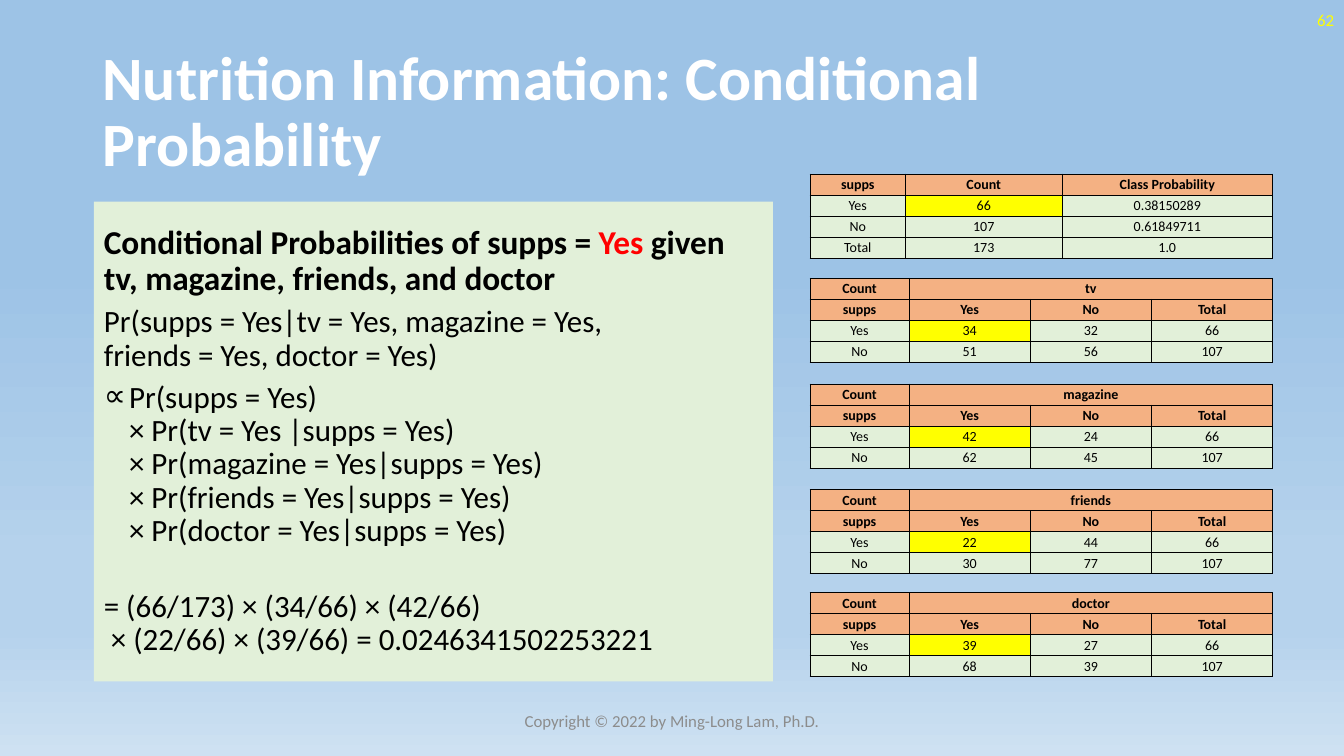
from dataclasses import dataclass

from lxml.etree import SubElement
from pptx import Presentation
from pptx.dml.color import RGBColor as Rgb
from pptx.enum.text import MSO_ANCHOR as Anchor, MSO_AUTO_SIZE as AutoSize, PP_ALIGN as Align
from pptx.oxml.ns import qn
from pptx.util import Pt


@dataclass(frozen=True)
class Theme:
    font: str = "Calibri"
    white: str = "FFFFFF"
    black: str = "000000"
    red: str = "FF0000"
    yellow: str = "FFFF00"
    grey: str = "8C8C8C"
    green: str = "E2F0D9"
    orange: str = "F4B183"
    sky: tuple = ((35, "9DC3E6"), (74, "B5D2EC"), (83, "B5D2EC"), (100, "CEE1F2"))
    title: float = 44
    lead: float = 23.8
    body: float = 22.1
    small: float = 12
    cell: float = 10


THEME = Theme()
ROW_HEIGHT = 15


def assign(target, values):
    for name, value in values.items():
        setattr(target, name, value)


def style(font, size, color, bold=False):
    assign(font, {"name": THEME.font, "size": Pt(size), "bold": bold})
    font.color.rgb = Rgb.from_string(color)


def place(shape, box):
    assign(shape, dict(zip(("left", "top", "width", "height"), map(Pt, box))))


def set_frame(frame):
    assign(frame, {"word_wrap": True, "auto_size": AutoSize.NONE,
                   "vertical_anchor": Anchor.MIDDLE})


def write(paragraph, pieces, size, bold=False):
    """Add (text, color) pieces; a newline in a text becomes a line break."""
    for text, color in pieces:
        for number, line in enumerate(text.split("\n")):
            if number:
                paragraph.add_line_break()
            run = paragraph.add_run()
            run.text = line
            style(run.font, size, color, bold)
    for line_break in paragraph._p.findall(qn("a:br")):
        SubElement(line_break, qn("a:rPr"), sz=str(round(size * 100)))


def set_bullet(paragraph, symbol=None, indent=0):
    properties = paragraph._p.get_or_add_pPr()
    properties.set("marL", str(Pt(indent)))
    properties.set("indent", str(-Pt(indent)))
    if symbol:
        SubElement(properties, qn("a:buFont"), typeface=THEME.font)
        SubElement(properties, qn("a:buChar"), char=symbol)
    else:
        SubElement(properties, qn("a:buNone"))


def paint_background(slide):
    fill = slide.background.fill
    fill.gradient()
    fill.gradient_angle = 270
    stops = slide._element.find(".//" + qn("a:gsLst"))
    for stop in list(stops):
        stops.remove(stop)
    for position, color in THEME.sky:
        stop = SubElement(stops, qn("a:gs"), pos=str(position * 1000))
        SubElement(stop, qn("a:srgbClr"), val=color)


def add_title(slide, box, text):
    title = slide.shapes.title
    place(title, box)
    set_frame(title.text_frame)
    heading = title.text_frame.paragraphs[0]
    assign(heading, {"alignment": Align.LEFT, "line_spacing": 0.9})
    write(heading, [(text, THEME.white)], THEME.title, True)


def add_derivation(slide, box):
    panel = slide.placeholders[1]
    place(panel, box)
    panel.fill.solid()
    panel.fill.fore_color.rgb = Rgb.from_string(THEME.green)
    frame = panel.text_frame
    set_frame(frame)

    factors = ["Pr(supps = Yes)", "Pr(tv = Yes |supps = Yes)"]
    factors += [f"Pr({name} = Yes|supps = Yes)" for name in ("magazine", "friends", "doctor")]
    steps = [
        ("Pr(supps = Yes|tv = Yes, magazine = Yes,\nfriends = Yes, doctor = Yes)", 6, None, 0),
        ("\n× ".join(factors), 6, "∝", 18),
        ("= (66/173) × (34/66) × (42/66)\n × (22/66) × (39/66) = 0.0246341502253221", 30, None, 0),
    ]
    lead = frame.paragraphs[0]
    assign(lead, {"line_spacing": 0.9, "space_before": Pt(0)})
    set_bullet(lead)
    write(lead, [("Conditional Probabilities of supps = ", THEME.black), ("Yes", THEME.red),
                 (" given tv, magazine, friends, and doctor", THEME.black)], THEME.lead, True)
    for text, gap, symbol, indent in steps:
        step = frame.add_paragraph()
        assign(step, {"line_spacing": 0.9, "space_before": Pt(gap)})
        set_bullet(step, symbol, indent)
        write(step, [(text, THEME.black)], THEME.body)


def add_caption(slide, box, text, color, alignment):
    caption = slide.shapes.add_textbox(*map(Pt, box))
    set_frame(caption.text_frame)
    line = caption.text_frame.paragraphs[0]
    line.alignment = alignment
    write(line, [(text, color)], THEME.small)


def format_cell(cell, text, fill, bold):
    assign(cell, {"margin_left": Pt(0.72), "margin_right": Pt(0.72), "margin_top": Pt(0.72),
                  "margin_bottom": 0, "vertical_anchor": Anchor.MIDDLE})
    line = cell.text_frame.paragraphs[0]
    line.alignment = Align.CENTER
    if text:
        write(line, [(text, THEME.black)], THEME.cell, bold)
    properties = cell._tc.get_or_add_tcPr()
    for side in ("lnL", "lnR", "lnT", "lnB"):
        border = SubElement(properties, qn(f"a:{side}"), w=str(Pt(0.5)))
        solid = SubElement(border, qn("a:solidFill"))
        SubElement(solid, qn("a:srgbClr"), val=THEME.black)
    cell.fill.solid()
    cell.fill.fore_color.rgb = Rgb.from_string(fill)


def add_grid(slide, left, top, widths, rows, header_rows):
    """Draw a table whose first count below the header is highlighted."""
    size = (sum(widths), ROW_HEIGHT * len(rows))
    grid = slide.shapes.add_table(len(rows), len(widths), *map(Pt, (left, top, *size))).table
    assign(grid, {"first_row": False, "horz_banding": False})
    for column, width in zip(grid.columns, widths):
        column.width = Pt(width)
    for r, row in enumerate(rows):
        grid.rows[r].height = Pt(ROW_HEIGHT)
        for c, text in enumerate(row):
            header = r < header_rows
            fill = THEME.orange if header else THEME.green
            if (r, c) == (header_rows, 1):
                fill = THEME.yellow
            format_cell(grid.cell(r, c), text, fill, header)
    return grid


def add_class_table(slide, left, top):
    rows = [("supps", "Count", "Class Probability"), ("Yes", "66", "0.38150289"),
            ("No", "107", "0.61849711"), ("Total", "173", "1.0")]
    add_grid(slide, left, top, (68.2, 111.8, 150.4), rows, 1)


def add_count_table(slide, left, top, feature, yes_counts, no_counts):
    rows = [("Count", feature, "", ""), ("supps", "Yes", "No", "Total")]
    for answer, counts in (("Yes", yes_counts), ("No", no_counts)):
        rows.append((answer, *map(str, counts), str(sum(counts))))
    grid = add_grid(slide, left, top, (70.7, 86.6, 86.6, 86.6), rows, 2)
    grid.cell(0, 1).merge(grid.cell(0, 3))


def main():
    deck = Presentation()
    assign(deck, {"slide_width": Pt(960), "slide_height": Pt(540)})
    slide = deck.slides.add_slide(deck.slide_layouts[1])
    paint_background(slide)
    add_title(slide, (66, 28.8, 828, 104.4), "Nutrition Information: Conditional Probability")
    add_derivation(slide, (67, 144, 485, 342.7))
    add_caption(slide, (744, 0, 216, 28.8), "62", THEME.yellow, Align.RIGHT)
    tables_left = 578.6
    add_class_table(slide, tables_left, 124.2)
    for top, feature, yes_counts, no_counts in (
        (198.7, "tv", (34, 32), (51, 56)),
        (274.3, "magazine", (42, 24), (62, 45)),
        (349.6, "friends", (22, 44), (30, 77)),
        (423.2, "doctor", (39, 27), (68, 39)),
    ):
        add_count_table(slide, tables_left, top, feature, yes_counts, no_counts)
    add_caption(slide, (318, 500.4, 324, 28.8), "Copyright © 2022 by Ming-Long Lam, Ph.D.",
                THEME.grey, Align.CENTER)
    deck.save("out.pptx")


if __name__ == "__main__":
    main()
